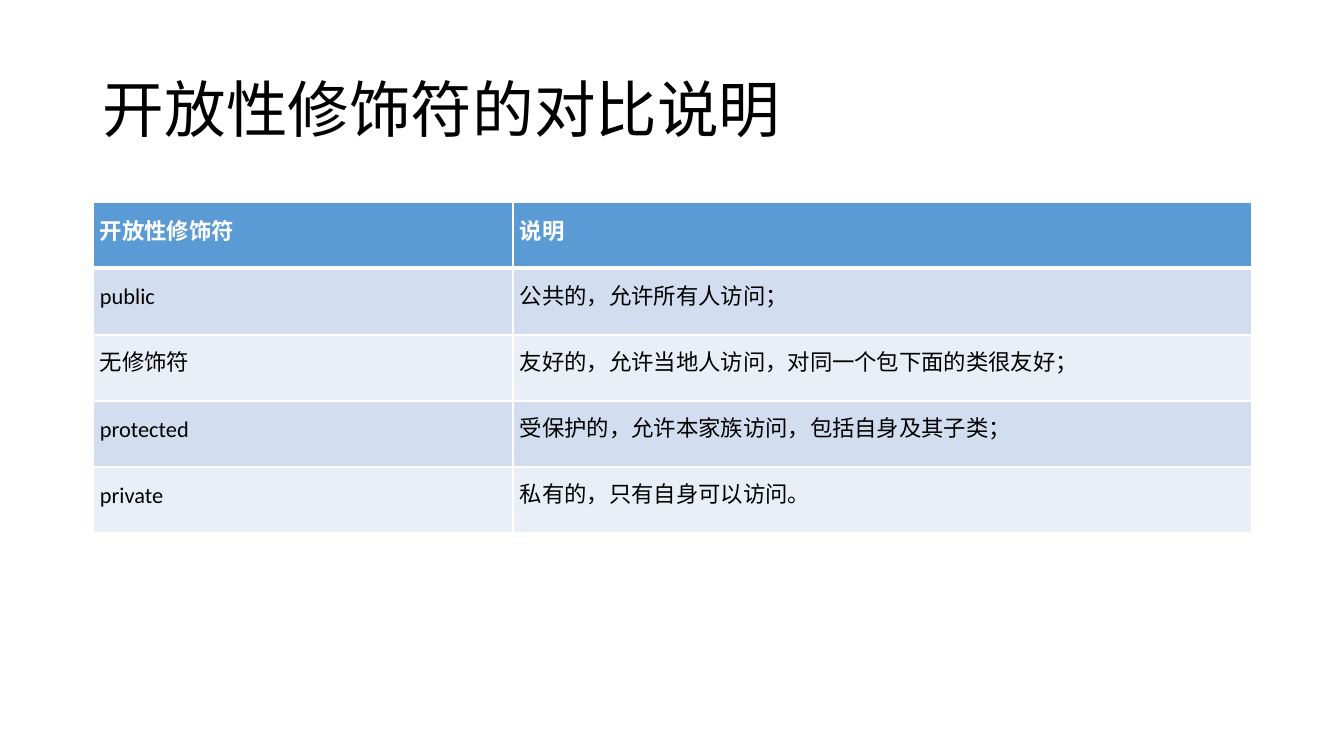
"""Build a slide that compares the access modifiers in a table."""

from dataclasses import dataclass

import lxml.etree
import pptx
import pptx.dml.color
import pptx.enum.text
import pptx.oxml.ns
import pptx.table
import pptx.text.text
import pptx.util

SCALE = 12192000 / 1344
FONT = "Calibri"
COLORS = {
    "black": "000000",
    "white": "FFFFFF",
    "header": "5B9BD5",
    "odd": "D2DEEF",
    "even": "EAEFF7",
}
LEFT, WIDTH = 93, 1159
COLUMN_WIDTHS = (420, 739)
ROW_HEIGHTS = (66, 67, 66, 66, 66)
THIN, THICK = 1, 3


@dataclass(frozen=True)
class RowStyle:
    fill: str
    text: str
    bold: bool
    line_spacing: float
    alignment: pptx.enum.text.PP_ALIGN
    top: int
    bottom: int


@dataclass(frozen=True)
class ModifierRow:
    modifier: str
    description: str
    style: RowStyle


ALIGN = pptx.enum.text.PP_ALIGN
HEADER = RowStyle("header", "white", True, 15.6, ALIGN.JUSTIFY, THIN, THICK)
FIRST = RowStyle("odd", "black", False, 13, ALIGN.LEFT, THICK, THIN)
ODD = RowStyle("odd", "black", False, 13, ALIGN.LEFT, THIN, THIN)
EVEN = RowStyle("even", "black", False, 13, ALIGN.LEFT, THIN, THIN)

ROWS = (
    ModifierRow("开放性修饰符", "说明", HEADER),
    ModifierRow("public", "公共的，允许所有人访问；", FIRST),
    ModifierRow("无修饰符", "友好的，允许当地人访问，对同一个包下面的类很友好；", EVEN),
    ModifierRow("protected", "受保护的，允许本家族访问，包括自身及其子类；", ODD),
    ModifierRow("private", "私有的，只有自身可以访问。", EVEN),
)


def pixels(length: int) -> pptx.util.Emu:
    return pptx.util.Emu(round(length * SCALE))


def color(name: str) -> pptx.dml.color.RGBColor:
    return pptx.dml.color.RGBColor.from_string(COLORS[name])


def format_text(paragraph: pptx.text.text._Paragraph, size: int, text_color: str, bold: bool) -> None:
    for run in paragraph.runs:
        run.font.name = FONT
        run.font.size = pptx.util.Pt(size)
        run.font.bold = bold
        run.font.color.rgb = color(text_color)


def set_borders(cell: pptx.table._Cell, style: RowStyle) -> None:
    properties = cell._tc.get_or_add_tcPr()
    qualified = pptx.oxml.ns.qn
    widths = {"lnL": THIN, "lnR": THIN, "lnT": style.top, "lnB": style.bottom}
    for index, (side, width) in enumerate(widths.items()):
        line = lxml.etree.Element(qualified(f"a:{side}"), w=str(pptx.util.Pt(width)))
        fill = lxml.etree.SubElement(line, qualified("a:solidFill"))
        lxml.etree.SubElement(fill, qualified("a:srgbClr"), val=COLORS["white"])
        properties.insert(index, line)


def fill_cell(cell: pptx.table._Cell, text: str, style: RowStyle) -> None:
    cell.text_frame.text = text
    cell.vertical_anchor = pptx.enum.text.MSO_ANCHOR.MIDDLE
    cell.margin_left = cell.margin_right = pixels(7)
    cell.margin_top = cell.margin_bottom = 0
    paragraph = cell.text_frame.paragraphs[0]
    paragraph.alignment = style.alignment
    paragraph.line_spacing = pptx.util.Pt(style.line_spacing)
    format_text(paragraph, 16, style.text, style.bold)
    cell.fill.solid()
    cell.fill.fore_color.rgb = color(style.fill)
    set_borders(cell, style)


def add_title(slide: pptx.slide.Slide, text: str) -> None:
    shape = slide.shapes.add_textbox(pixels(LEFT), pixels(40), pixels(WIDTH), pixels(146))
    shape.text_frame.word_wrap = True
    shape.text_frame.vertical_anchor = pptx.enum.text.MSO_ANCHOR.MIDDLE
    shape.text_frame.text = text
    paragraph = shape.text_frame.paragraphs[0]
    paragraph.line_spacing = 0.9
    format_text(paragraph, 44, "black", False)


def add_modifier_table(slide: pptx.slide.Slide) -> None:
    table = slide.shapes.add_table(
        len(ROWS), len(COLUMN_WIDTHS),
        pixels(LEFT), pixels(202), pixels(WIDTH), pixels(sum(ROW_HEIGHTS)),
    ).table
    for column, width in zip(table.columns, COLUMN_WIDTHS):
        column.width = pixels(width)
    for table_row, height, row in zip(table.rows, ROW_HEIGHTS, ROWS):
        table_row.height = pixels(height)
        for cell, text in zip(table_row.cells, (row.modifier, row.description)):
            fill_cell(cell, text, row.style)


def main() -> None:
    presentation = pptx.Presentation()
    presentation.slide_width = pixels(1344)
    presentation.slide_height = pixels(756)
    slide = presentation.slides.add_slide(presentation.slide_layouts[6])
    add_title(slide, "开放性修饰符的对比说明")
    add_modifier_table(slide)
    presentation.save("out.pptx")


main()
